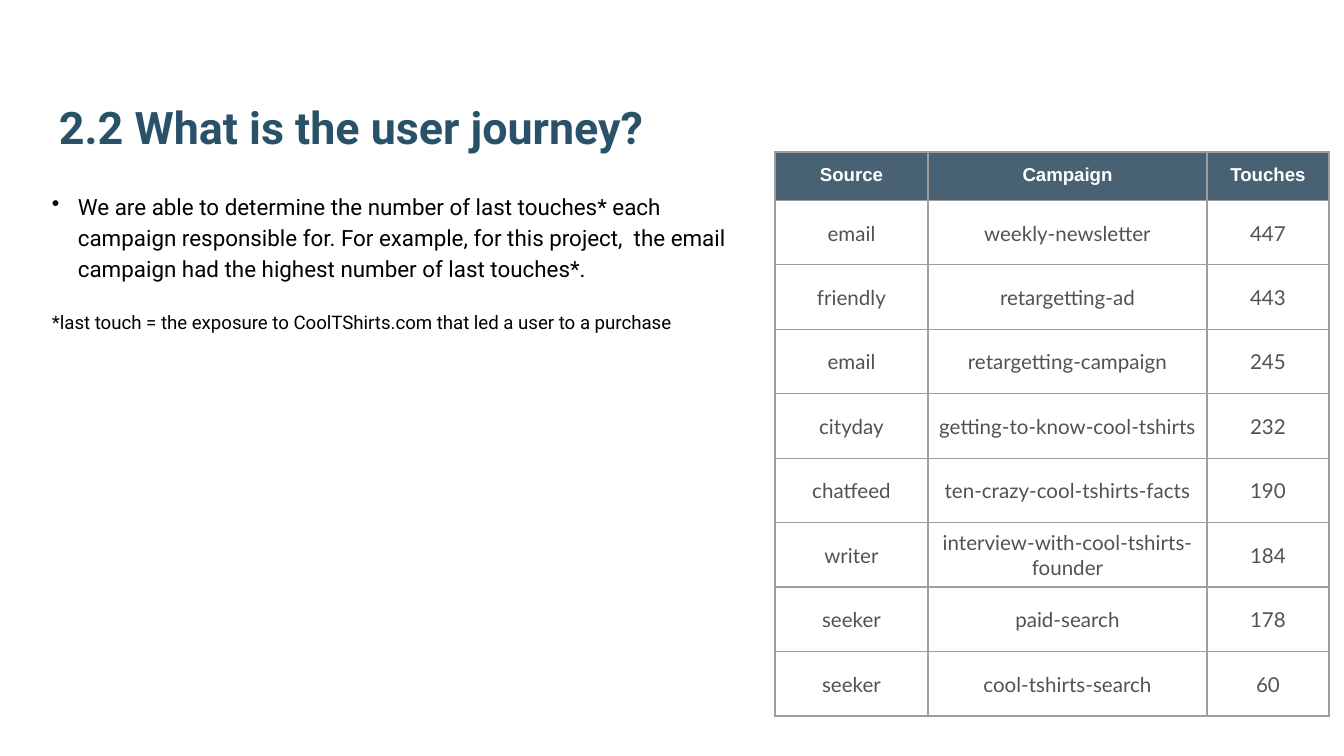
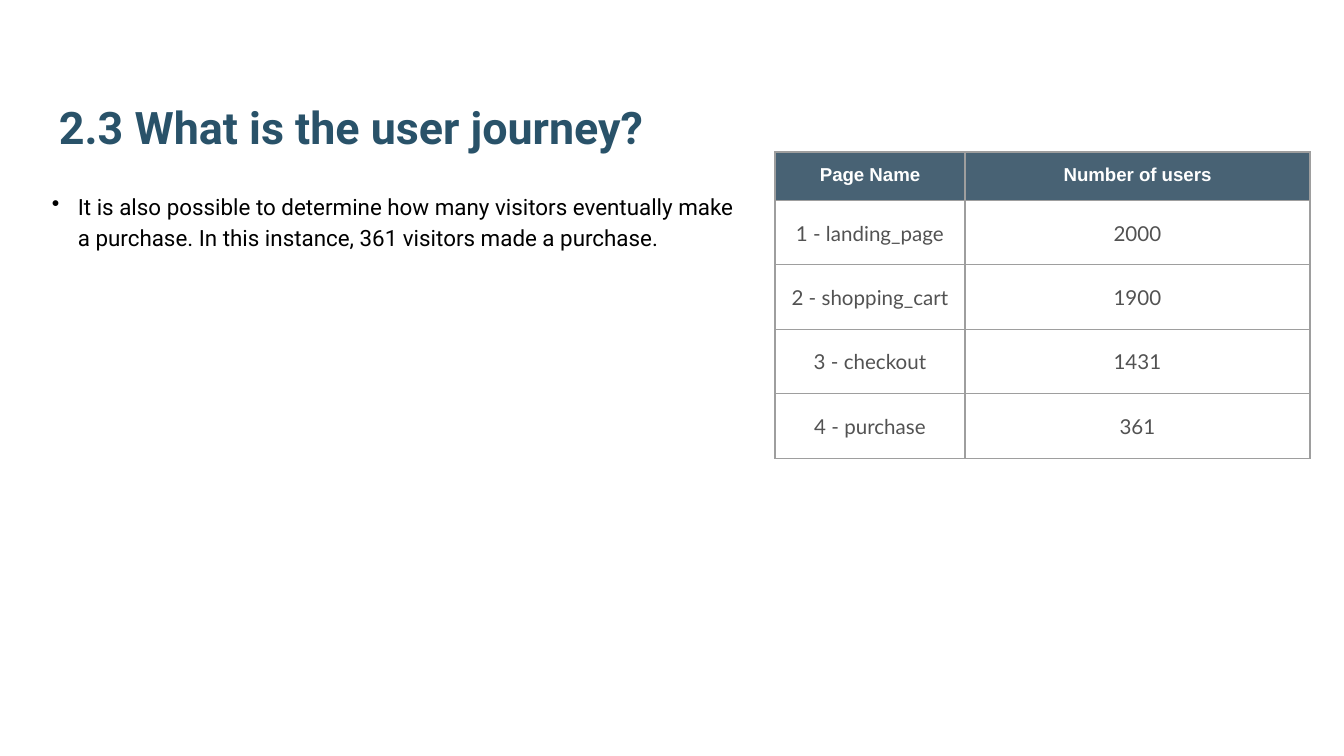
from lxml import etree
from pptx import Presentation
from pptx.dml.color import RGBColor
from pptx.enum.text import MSO_ANCHOR, MSO_AUTO_SIZE, PP_ALIGN
from pptx.oxml.ns import qn
from pptx.util import Emu, Pt

LEFT, CENTER = PP_ALIGN.LEFT, PP_ALIGN.CENTER
TOP, MIDDLE, BOTTOM = MSO_ANCHOR.TOP, MSO_ANCHOR.MIDDLE, MSO_ANCHOR.BOTTOM
NO_AUTOFIT = MSO_AUTO_SIZE.NONE

# Content
SLIDES = [
    {
        "title": "2.2 What is the user journey?",
        "point": "We are able to determine the number of last touches* each campaign "
                 "responsible for. For example, for this project,  the email campaign "
                 "had the highest number of last touches*.",
        "footnote": "*last touch = the exposure to CoolTShirts.com that led a user "
                    "to a purchase",
        "columns": [("Source", 153), ("Campaign", 279), ("Touches", 122)],
        "rows": [
            ("email", "weekly-newsletter", "447"),
            ("friendly", "retargetting-ad", "443"),
            ("email", "retargetting-campaign", "245"),
            ("cityday", "getting-to-know-cool-tshirts", "232"),
            ("chatfeed", "ten-crazy-cool-tshirts-facts", "190"),
            ("writer", "interview-with-cool-tshirts-founder", "184"),
            ("seeker", "paid-search", "178"),
            ("seeker", "cool-tshirts-search", "60"),
        ],
    },
    {
        "title": "2.3 What is the user journey?",
        "point": "It is also possible to determine how many visitors eventually make "
                 "a purchase. In this instance, 361 visitors made a purchase.",
        "footnote": None,
        "columns": [("Page Name", 190), ("Number of users", 345)],
        "rows": [
            ("1 - landing_page", "2000"),
            ("2 - shopping_cart", "1900"),
            ("3 - checkout", "1431"),
            ("4 - purchase", "361"),
        ],
    },
]

# Shared look
COLORS = {"title": "295269", "text": "000000", "header": "204056",
          "header_text": "FFFFFF", "cell_text": "525252", "border": "9E9E9E"}
HEADER_ALPHA = 82
TITLE_FONT = {"name": "Roboto", "size": Pt(24), "bold": True}
POINT_FONT = {"name": "Roboto", "size": Pt(12)}
FOOTNOTE_FONT = {"name": "Roboto", "size": Pt(10)}
HEADER_FONT = {"name": "Arial", "size": Pt(10), "bold": True}
CELL_FONT = {"name": "Lato", "size": Pt(11), "bold": False}

# Layout in px
SLIDE_SIZE = (1344, 756)
TITLE_BOX = (46, 43, 1253, 124)
BODY_BOX = (26, 176, 723, 566)
TABLE_LEFT, TABLE_TOP = 775, 152
HEADER_HEIGHT = 48
PAIR_HEIGHT = 129  # two table rows
INDENT = 26
SIDES = ("left", "top", "right", "bottom")


def px(length):
    return Emu(round(length * 914400 / 134.4))


def set_all(target, values):
    for key, value in values.items():
        setattr(target, key, value)


def set_font(paragraph, font, color):
    set_all(paragraph.font, font)
    paragraph.font.color.rgb = RGBColor.from_string(COLORS[color])


def margins(*lengths):
    return {f"margin_{side}": px(length) for side, length in zip(SIDES, lengths)}


def add_title(slide, text):
    title = slide.shapes.title
    set_all(title, dict(zip(("left", "top", "width", "height"), map(px, TITLE_BOX))))
    frame = title.text_frame
    set_all(frame, {"text": text, "word_wrap": True, "auto_size": NO_AUTOFIT,
                    "vertical_anchor": BOTTOM, **margins(13, 13, 13, 13)})
    frame.paragraphs[0].alignment = LEFT
    set_font(frame.paragraphs[0], TITLE_FONT, "title")


def add_bullet(paragraph):
    properties = paragraph._p.get_or_add_pPr()
    properties.set("marL", str(px(INDENT)))
    properties.set("indent", str(-px(INDENT)))
    color = etree.SubElement(properties, qn("a:buClr"))
    etree.SubElement(color, qn("a:srgbClr"), val=COLORS["text"])
    etree.SubElement(properties, qn("a:buChar"), char="•")


def add_body(slide, point, footnote):
    frame = slide.shapes.add_textbox(*map(px, BODY_BOX)).text_frame
    set_all(frame, {"word_wrap": True, "vertical_anchor": TOP,
                    **margins(26, 13, 13, 13)})
    paragraph = frame.paragraphs[0]
    paragraph.text = point
    paragraph.line_spacing = 1.15
    add_bullet(paragraph)
    set_font(paragraph, POINT_FONT, "text")
    if footnote:
        paragraph = frame.add_paragraph()
        set_all(paragraph, {"text": footnote, "line_spacing": 1.15,
                            "space_before": Pt(14)})
        set_font(paragraph, FOOTNOTE_FONT, "text")


def add_borders(cell):
    properties = cell._tc.get_or_add_tcPr()
    for position, tag in enumerate(("a:lnL", "a:lnR", "a:lnT", "a:lnB")):
        line = etree.Element(qn(tag), w=str(Pt(0.75)))
        fill = etree.SubElement(line, qn("a:solidFill"))
        etree.SubElement(fill, qn("a:srgbClr"), val=COLORS["border"])
        properties.insert(position, line)


def fill_header(cell):
    cell.fill.solid()
    cell.fill.fore_color.rgb = RGBColor.from_string(COLORS["header"])
    color = cell._tc.tcPr.find(".//" + qn("a:srgbClr"))
    etree.SubElement(color, qn("a:alpha"), val=str(HEADER_ALPHA * 1000))


def format_cell(cell, text, is_header):
    cell.text = text
    paragraph = cell.text_frame.paragraphs[0]
    paragraph.alignment = CENTER
    if is_header:
        set_all(cell, {"vertical_anchor": TOP, **margins(13, 13, 13, 13)})
        set_font(paragraph, HEADER_FONT, "header_text")
        fill_header(cell)
    else:
        set_all(cell, {"vertical_anchor": MIDDLE, **margins(1, 1, 1, 0)})
        set_font(paragraph, CELL_FONT, "cell_text")
        cell.fill.background()
    add_borders(cell)


def add_data_table(slide, columns, rows):
    names, widths = zip(*columns)
    lines = [names, *rows]
    heights = [HEADER_HEIGHT] + [PAIR_HEIGHT / 2] * len(rows)
    box = (TABLE_LEFT, TABLE_TOP, sum(widths), sum(heights))
    table = slide.shapes.add_table(len(lines), len(names), *map(px, box)).table
    set_all(table, {"first_row": False, "horz_banding": False})
    for column, width in zip(table.columns, widths):
        column.width = px(width)
    for index, (row, height, line) in enumerate(zip(table.rows, heights, lines)):
        row.height = px(height)
        for cell, text in zip(row.cells, line):
            format_cell(cell, text, index == 0)


def main():
    deck = Presentation()
    deck.slide_width, deck.slide_height = map(px, SLIDE_SIZE)
    title_only = deck.slide_layouts[5]
    for content in SLIDES:
        slide = deck.slides.add_slide(title_only)
        add_title(slide, content["title"])
        add_body(slide, content["point"], content["footnote"])
        add_data_table(slide, content["columns"], content["rows"])
    deck.save("out.pptx")


if __name__ == "__main__":
    main()
